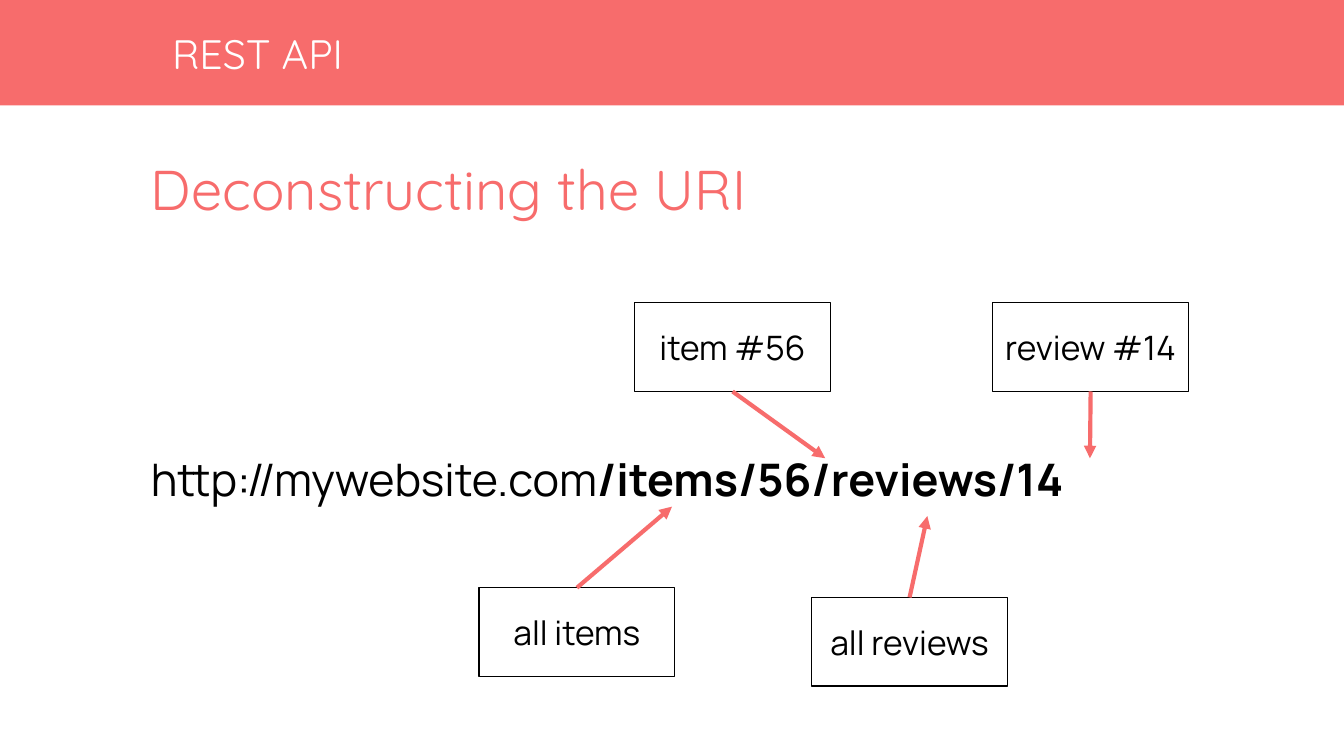
from lxml import etree
from pptx import Presentation, util as u
from pptx.dml.color import RGBColor
from pptx.enum import shapes, text
from pptx.oxml.ns import qn

SLIDE_WIDTH = 10
SLIDE_HEIGHT = SLIDE_WIDTH * 9 / 16
COLUMNS, ROWS = 100, 56.25
CORAL, BLACK, WHITE = "F76C6C", "000000", "FFFFFF"
HEADING_FONT, BODY_FONT = "Quicksand", "Manrope"
LABEL_WIDTH, LABEL_HEIGHT = 14.56, 6.6
MARGIN, CONTENT_WIDTH, BAND_HEIGHT = 11.23, 74.3, 7.85


def color(hex_code):
    return RGBColor.from_string(hex_code)


def across(columns):
    return u.Inches(columns * SLIDE_WIDTH / COLUMNS)


def down(rows):
    return u.Inches(rows * SLIDE_HEIGHT / ROWS)


def area(left, top, width, height):
    return across(left), down(top), across(width), down(height)


def write(holder, runs, font, size, hex_code, align=text.PP_ALIGN.LEFT, spacing=1):
    frame = holder.text_frame
    frame.word_wrap = True
    frame.vertical_anchor = text.MSO_ANCHOR.MIDDLE
    frame.margin_left = frame.margin_right = 0
    frame.margin_top = frame.margin_bottom = 0
    line = frame.paragraphs[0]
    line.alignment = align
    line.line_spacing = spacing
    for words, bold in runs:
        run = line.add_run()
        run.text = words
        run.font.name = font
        run.font.size = u.Pt(size)
        run.font.bold = bold
        run.font.color.rgb = color(hex_code)


def add_band(slide):
    band = slide.shapes.add_shape(
        shapes.MSO_SHAPE.RECTANGLE, *area(-0.2, 0, COLUMNS + 0.4, BAND_HEIGHT))
    band.shadow.inherit = False
    band.fill.solid()
    band.fill.fore_color.rgb = color(CORAL)
    band.line.fill.background()


def add_line_of_text(slide, place, runs, font, size, hex_code, spacing=1):
    box = slide.shapes.add_textbox(*area(*place))
    write(box, runs, font, size, hex_code, spacing=spacing)


def add_label(slide, caption, left, top):
    label = slide.shapes.add_shape(
        shapes.MSO_SHAPE.RECTANGLE, *area(left, top, LABEL_WIDTH, LABEL_HEIGHT))
    label.shadow.inherit = False
    label.fill.background()
    label.line.color.rgb = color(BLACK)
    label.line.width = u.Pt(0.75)
    write(label, [(caption, False)], BODY_FONT, 18, BLACK, text.PP_ALIGN.CENTER)


def add_arrow(slide, start, end):
    arrow = slide.shapes.add_connector(
        shapes.MSO_CONNECTOR.STRAIGHT,
        across(start[0]), down(start[1]), across(end[0]), down(end[1]))
    arrow.line.color.rgb = color(CORAL)
    arrow.line.width = u.Pt(2.25)
    outline = arrow.line.fill._xPr
    etree.SubElement(outline, qn("a:tailEnd"), type="triangle")
    etree.SubElement(arrow._element.spPr, qn("a:effectLst"))


def main():
    deck = Presentation()
    deck.slide_width = u.Inches(SLIDE_WIDTH)
    deck.slide_height = u.Inches(SLIDE_HEIGHT)
    slide = deck.slides.add_slide(deck.slide_layouts[6])

    add_band(slide)
    add_line_of_text(slide, (12.8, 0, 46.9, BAND_HEIGHT),
                     [("REST API", False)], HEADING_FONT, 22, WHITE)
    add_line_of_text(slide, (MARGIN, 9.7, CONTENT_WIDTH, BAND_HEIGHT),
                     [("Deconstructing the URI", False)], HEADING_FONT, 30, CORAL, 1.15)
    add_line_of_text(slide, (MARGIN, 30.7, CONTENT_WIDTH, 9.8),
                     [("http://mywebsite.com", False), ("/items/56/reviews/14", True)],
                     BODY_FONT, 24, BLACK)

    uri_parts = [
        ("all items", 35.65, 43.73, (50, 37.7)),
        ("item #56", 47.23, 22.53, (61.4, 34.1)),
        ("review #14", 73.87, 22.53, (81.1, 34.1)),
        ("all reviews", 60.4, 44.45, (69, 38.4)),
    ]
    for caption, left, top, target in uri_parts:
        add_label(slide, caption, left, top)
    for caption, left, top, target in uri_parts:
        edge = top if target[1] < top else top + LABEL_HEIGHT
        add_arrow(slide, (left + LABEL_WIDTH / 2, edge), target)

    deck.save("out.pptx")


if __name__ == "__main__":
    main()
